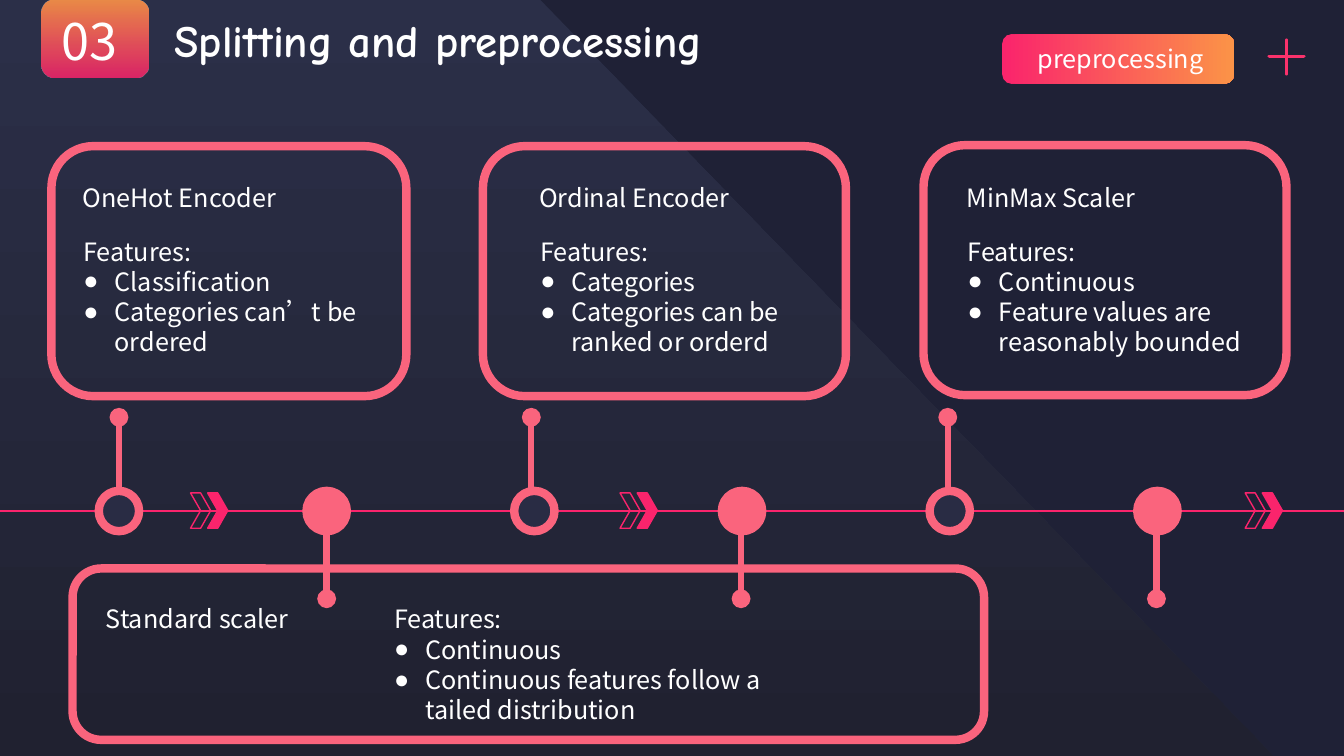
from dataclasses import dataclass

from lxml.etree import SubElement
from pptx import Presentation
from pptx.dml.color import RGBColor
from pptx.enum.shapes import MSO_CONNECTOR, MSO_SHAPE
from pptx.enum.text import MSO_ANCHOR, PP_ALIGN
from pptx.oxml.ns import qn
from pptx.util import Inches, Pt

NIGHT = RGBColor(0x1F, 0x21, 0x36)
SLATE = RGBColor(0x2B, 0x2F, 0x48)
COAL = RGBColor(0x20, 0x21, 0x30)
HOLE = RGBColor(0x29, 0x2C, 0x44)
CORAL = RGBColor(0xFA, 0x64, 0x7D)
PINK = RGBColor(0xFA, 0x24, 0x6C)
ROSE = RGBColor(0xFA, 0x32, 0x6C)
AMBER = RGBColor(0xFB, 0x93, 0x47)
WHITE = RGBColor(0xFF, 0xFF, 0xFF)
SANS = "Noto Sans CJK SC"
COMIC = "Comic Neue"
AXIS = 5.07


@dataclass
class Box:
    x: float
    y: float
    w: float
    h: float

    def emu(self):
        return [Inches(v) for v in (self.x, self.y, self.w, self.h)]


@dataclass
class Card:
    frame: Box
    name: str
    head: Box
    body: Box
    items: tuple[str, ...]


CARDS = (
    Card(Box(0.51, 1.45, 3.52, 2.48), "OneHot Encoder",
         Box(0.72, 1.76, 2.52, 0.4), Box(0.73, 2.29, 3.04, 1.31),
         ("Classification", "Categories can’t be ordered")),
    Card(Box(4.79, 1.45, 3.6, 2.48), "Ordinal Encoder",
         Box(5.25, 1.76, 2.52, 0.4), Box(5.26, 2.29, 3.02, 1.31),
         ("Categories", "Categories can be ranked or orderd")),
    Card(Box(9.16, 1.44, 3.6, 2.48), "MinMax Scaler",
         Box(9.49, 1.76, 2.52, 0.4), Box(9.5, 2.29, 3.1, 1.31),
         ("Continuous", "Feature values are reasonably bounded")),
    Card(Box(0.72, 5.64, 9.04, 1.7), "Standard scaler",
         Box(0.95, 5.94, 2.52, 0.4), Box(3.81, 5.94, 4.3, 1.31),
         ("Continuous", "Continuous features follow a tailed distribution")),
)

deck = Presentation()
deck.slide_width, deck.slide_height = Inches(13.33), Inches(7.5)
slide = deck.slides.add_slide(deck.slide_layouts[5])
shapes = slide.shapes


def blend(shape, first: RGBColor, last: RGBColor, angle: int, alphas=()) -> None:
    shape.fill.gradient()
    shape.fill.gradient_angle = angle
    for stop, tone in zip(shape.fill.gradient_stops, (first, last)):
        stop.color.rgb = tone
    tones = shape._element.spPr.iter(qn("a:srgbClr"))
    for tone, alpha in zip(list(tones), alphas):
        SubElement(tone, qn("a:alpha"), val=str(alpha * 1000))


def draw(kind: MSO_SHAPE, box: Box, fill=None, line=None, width: float = 1):
    shape = shapes.add_shape(kind, *box.emu())
    shape.shadow.inherit = False
    if fill is None:
        shape.fill.background()
    else:
        shape.fill.solid()
        shape.fill.fore_color.rgb = fill
    if line is None:
        shape.line.fill.background()
    else:
        shape.line.color.rgb = line
        shape.line.width = Pt(width)
    return shape


def link(x: float, y: float, to_x: float, to_y: float, tone: RGBColor,
         width: float, dots: bool = False, cap: str = "flat") -> None:
    line = shapes.add_connector(MSO_CONNECTOR.STRAIGHT, Inches(x), Inches(y),
                                Inches(to_x), Inches(to_y))
    line.line.color.rgb = tone
    line.line.width = Pt(width)
    line.line._ln.set("cap", cap)
    if dots:
        for end in ("a:headEnd", "a:tailEnd"):
            SubElement(line.line._ln, qn(end), type="oval")
    SubElement(line._element.spPr, qn("a:effectLst"))


def add_run(para, text: str, size: float = 18, font: str = SANS) -> None:
    run = para.add_run()
    run.text = text
    run.font.size = Pt(size)
    run.font.name = font
    run.font.color.rgb = WHITE
    SubElement(run._r.rPr, qn("a:ea"), typeface=font)


def write(box: Box, text: str, size: float = 18, align=PP_ALIGN.LEFT):
    frame = shapes.add_textbox(*box.emu()).text_frame
    frame.word_wrap = True
    para = frame.paragraphs[0]
    para.alignment = align
    add_run(para, text, size)
    return frame


def bullet(frame, text: str) -> None:
    para = frame.add_paragraph()
    props = para._p.get_or_add_pPr()
    props.set("marL", str(Inches(0.31)))
    props.set("indent", str(-Inches(0.31)))
    SubElement(props, qn("a:buFont"), typeface="Arial")
    SubElement(props, qn("a:buChar"), char="●")
    add_run(para, text)


# Background with its slanted panel
slide.background.fill.solid()
slide.background.fill.fore_color.rgb = NIGHT
outline = shapes.build_freeform(0, 0, scale=1.0)
outline.add_line_segments([(Inches(x), Inches(y)) for x, y in
                           ((5.36, 0), (12.63, 7.5), (0, 7.5))])
panel = outline.convert_to_shape()
panel.shadow.inherit = False
panel.line.fill.background()
blend(panel, SLATE, COAL, 270)

# Stems that rise behind the nodes
for x in (1.18, 5.27, 9.4):
    link(x, AXIS, x, 4.14, CORAL, 4.5, dots=True)

# Tag and plus sign
tag = draw(MSO_SHAPE.ROUNDED_RECTANGLE, Box(9.94, 0.34, 2.3, 0.49))
tag.adjustments[0] = 0.19
blend(tag, PINK, AMBER, 0)
write(Box(10.11, 0.38, 2.01, 0.4), "preprocessing", align=PP_ALIGN.CENTER)
link(12.59, 0.56, 12.93, 0.56, ROSE, 2.75, cap="rnd")
link(12.76, 0.73, 12.76, 0.4, ROSE, 2.75, cap="rnd")

# Number badge and title, lifted above the panel
badge = draw(MSO_SHAPE.FLOWCHART_ALTERNATE_PROCESS, Box(0.41, 0, 1.06, 0.77))
blend(badge, PINK, AMBER, 90, (85, 92))
number = write(Box(0.51, 0.01, 1, 0.78), "03", 36)
number.vertical_anchor = MSO_ANCHOR.MIDDLE
title = shapes.title
shapes._spTree.append(title._element)
title.left, title.top, title.width, title.height = Box(1.63, 0.08, 7.44, 0.64).emu()
title.text_frame.vertical_anchor = MSO_ANCHOR.TOP
para = title.text_frame.paragraphs[0]
para.alignment = PP_ALIGN.LEFT
add_run(para, "Splitting and preprocessing", 32, COMIC)
para.runs[0].font.bold = True

# Timeline: axis, nodes, chevrons and lower stems
link(0, AXIS, 13.33, AXIS, PINK, 1)
for i in range(6):
    draw(MSO_SHAPE.OVAL, Box(0.98 + 2.06 * i, 4.87, 0.4, 0.4),
         CORAL if i % 2 else HOLE, CORAL, 6)
for x in (1.89, 6.15, 12.35):
    for step, fill in ((0, None), (0.17, PINK)):
        draw(MSO_SHAPE.CHEVRON, Box(x + step, 4.89, 0.2, 0.35), fill, PINK)
for x in (3.24, 7.35, 11.47):
    link(x, AXIS, x, 5.94, CORAL, 4.5, dots=True)

# Cards
for card in CARDS:
    draw(MSO_SHAPE.ROUNDED_RECTANGLE, card.frame, line=CORAL, width=6)
    write(card.head, card.name)
    body = write(card.body, "Features:")
    for item in card.items:
        bullet(body, item)

deck.save("out.pptx")
